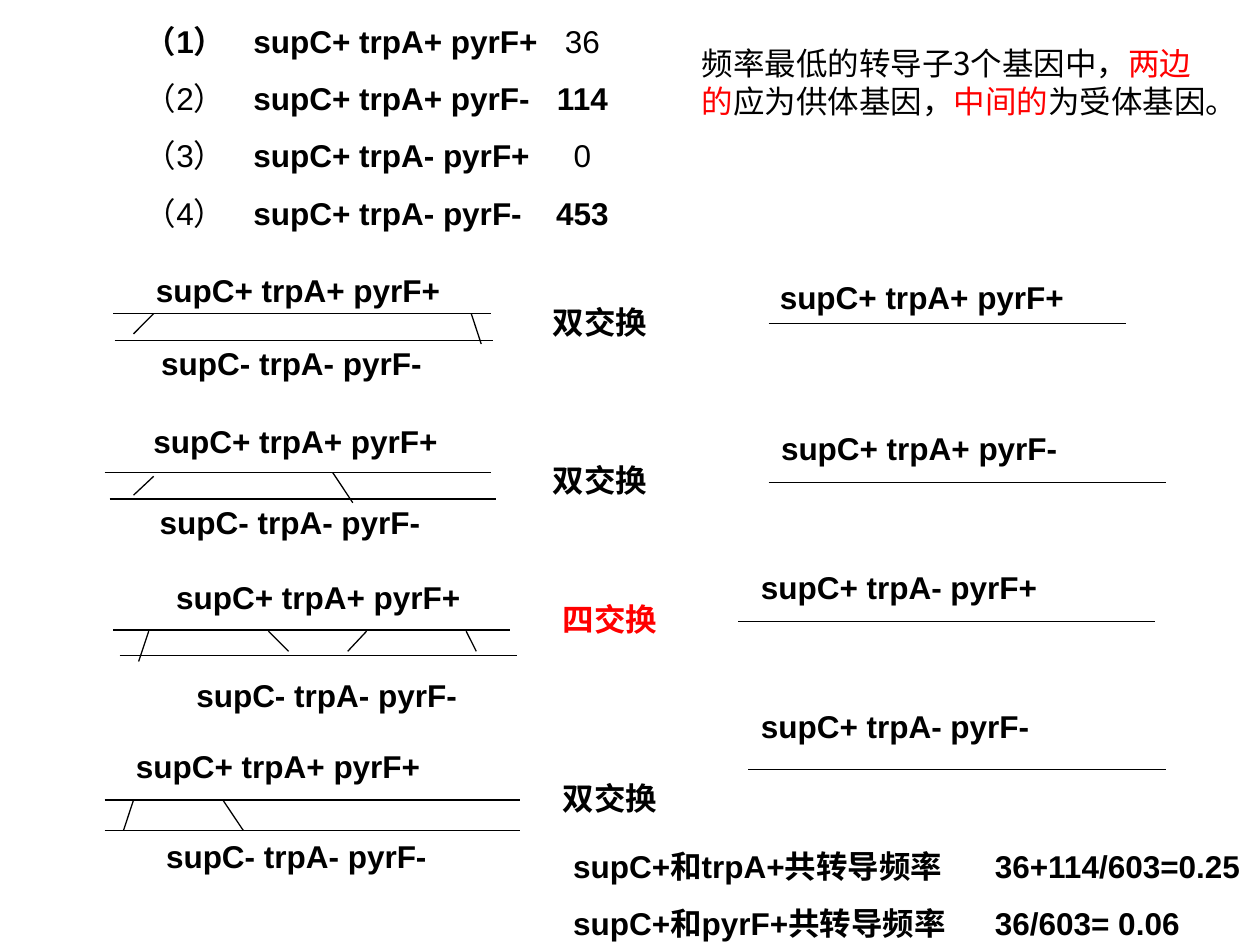
from lxml.etree import SubElement as Sub
from pptx import Presentation
from pptx.dml.color import RGBColor
from pptx.enum.shapes import MSO_CONNECTOR as Conn
from pptx.oxml.ns import qn
from pptx.util import Pt

BLACK = RGBColor(0, 0, 0)
RED = RGBColor(255, 0, 0)
LATIN = "Arial"
HAN = "Noto Sans CJK SC"
SIZE, LEAD, GAP = 18, 21.6, 11.2
DONOR, HOST = "supC+ trpA+ pyrF+", "supC- trpA- pyrF-"

# Runs are (text, bold, colour)
COUNTS = [
    [("（1）\tsupC+ trpA+ pyrF+", True, BLACK), ("\t36", False, BLACK)],
    [("（2）\t", False, BLACK), ("supC+ trpA+ pyrF-\t114", True, BLACK)],
    [("（3）\t", False, BLACK), ("supC+ trpA- pyrF+", True, BLACK),
     ("\t0", False, BLACK)],
    [("（4）\t", False, BLACK), ("supC+ trpA- pyrF-\t453", True, BLACK)],
]
NOTE = [[
    ("频率最低的转导子3个基因中，", False, BLACK), ("两边的", False, RED),
    ("应为供体基因，", False, BLACK), ("中间的", False, RED),
    ("为受体基因。", False, BLACK),
]]
RATES = [
    [("supC+和trpA+共转导频率\t36+114/603=0.25", True, BLACK)],
    [("supC+和pyrF+共转导频率\t36/603= 0.06", True, BLACK)],
]

# Strands are (left, right, y), cuts are (x1, y1, x2, y2)
CROSSES = [
    dict(donor=(82, 151.2), host=(85, 193),
         strands=[(64.8, 280.8, 179.2), (65.5, 281.5, 194.4)],
         cuts=[(269.3, 179.2, 275, 196.6), (87.8, 179.2, 76.3, 190.8)],
         kind=("双交换", BLACK, 308.9, 167.8),
         gain=("supC+ trpA+ pyrF+", 438.5, 155.5), out=(439.2, 643.7, 185)),
    dict(donor=(80.6, 237.6), host=(84.2, 283.7),
         strands=[(59.8, 280.8, 270), (62.6, 283.7, 285.1)],
         cuts=[(87.8, 272.2, 76.3, 283), (190.1, 270, 201.6, 287.3)],
         kind=("双交换", BLACK, 308.9, 258.5),
         gain=("supC+ trpA+ pyrF-", 439.2, 241.9), out=(439.2, 666, 275.8)),
    dict(donor=(93.6, 326.9), host=(105.1, 383),
         strands=[(64.8, 291.6, 360), (68.4, 295.2, 374.4)],
         cuts=[(85, 360.7, 79.2, 378), (153.4, 360.7, 164.9, 372.2),
               (209.5, 360.7, 198.7, 372.2), (266.4, 360.7, 272.2, 372.2)],
         kind=("四交换", RED, 314.6, 337.7),
         gain=("supC+ trpA- pyrF+", 427.7, 321.1), out=(421.9, 660.2, 355)),
    dict(donor=(70.6, 423.4), host=(87.8, 474.5),
         strands=[(59.8, 297.4, 457.2), (59.8, 297.4, 474.5)],
         cuts=[(76.3, 457.2, 70.6, 474.5), (127.4, 457.2, 139, 474.5)],
         kind=("双交换", BLACK, 314.6, 439.9),
         gain=("supC+ trpA- pyrF-", 427.7, 400.3), out=(427.7, 666, 439.9)),
]

deck = Presentation()
deck.slide_width, deck.slide_height = Pt(720), Pt(540)
slide = deck.slides.add_slide(deck.slide_layouts[6])


def add_text(paras, x, y, w, h=28.8, tabs=(), face=LATIN, left=7.2, top=3.6):
    box = slide.shapes.add_textbox(Pt(x), Pt(y), Pt(w), Pt(h))
    frame = box.text_frame
    frame.word_wrap = True
    frame.margin_left, frame.margin_top = Pt(left), Pt(top)
    for i, runs in enumerate(paras):
        para = frame.add_paragraph() if i else frame.paragraphs[0]
        para.line_spacing = Pt(LEAD)
        if i:
            para.space_before = Pt(GAP)
        if tabs:
            stops = Sub(para._p.get_or_add_pPr(), qn("a:tabLst"))
            for pos, algn in tabs:
                Sub(stops, qn("a:tab"), pos=str(Pt(pos)), algn=algn)
        for text, bold, color in runs:
            run = para.add_run()
            run.text = text
            font = run.font
            font.name, font.size, font.bold = face, Pt(SIZE), bold
            font.color.rgb = color
            Sub(run._r.get_or_add_rPr(), qn("a:ea"), typeface=HAN)


def add_label(text, x, y, w, color=BLACK, top=3.6):
    add_text([[(text, True, color)]], x, y, w, top=top)


def add_line(x1, y1, x2, y2):
    line = slide.shapes.add_connector(
        Conn.STRAIGHT, Pt(x1), Pt(y1), Pt(x2), Pt(y2))
    line.line.color.rgb = BLACK
    line.line.width = Pt(0.75)
    Sub(line._element.spPr, qn("a:effectLst"))


# Counts and note
add_text(COUNTS, 70.6, 7.2, 294.5, 127.4,
         tabs=[(62, "l"), (250, "ctr")], left=12.2, top=5.2)
add_text(NOTE, 393.8, 20.2, 306, 50.4, face=HAN, top=5.2)

# Crossovers and their products
for cross in CROSSES:
    for left, right, y in cross["strands"] + [cross["out"]]:
        add_line(left, y, right, y)
    for cut in cross["cuts"]:
        add_line(*cut)
    add_label(DONOR, *cross["donor"], 250)
    add_label(HOST, *cross["host"], 193)
    kind, color, x, y = cross["kind"]
    add_label(kind, x, y, 91, color, top=5.2)
    add_label(*cross["gain"], 250)

# Cotransduction rates
add_text(RATES, 320.4, 478.8, 399.6, 61.2, tabs=[(241, "l")], top=5.2)

deck.save("out.pptx")
